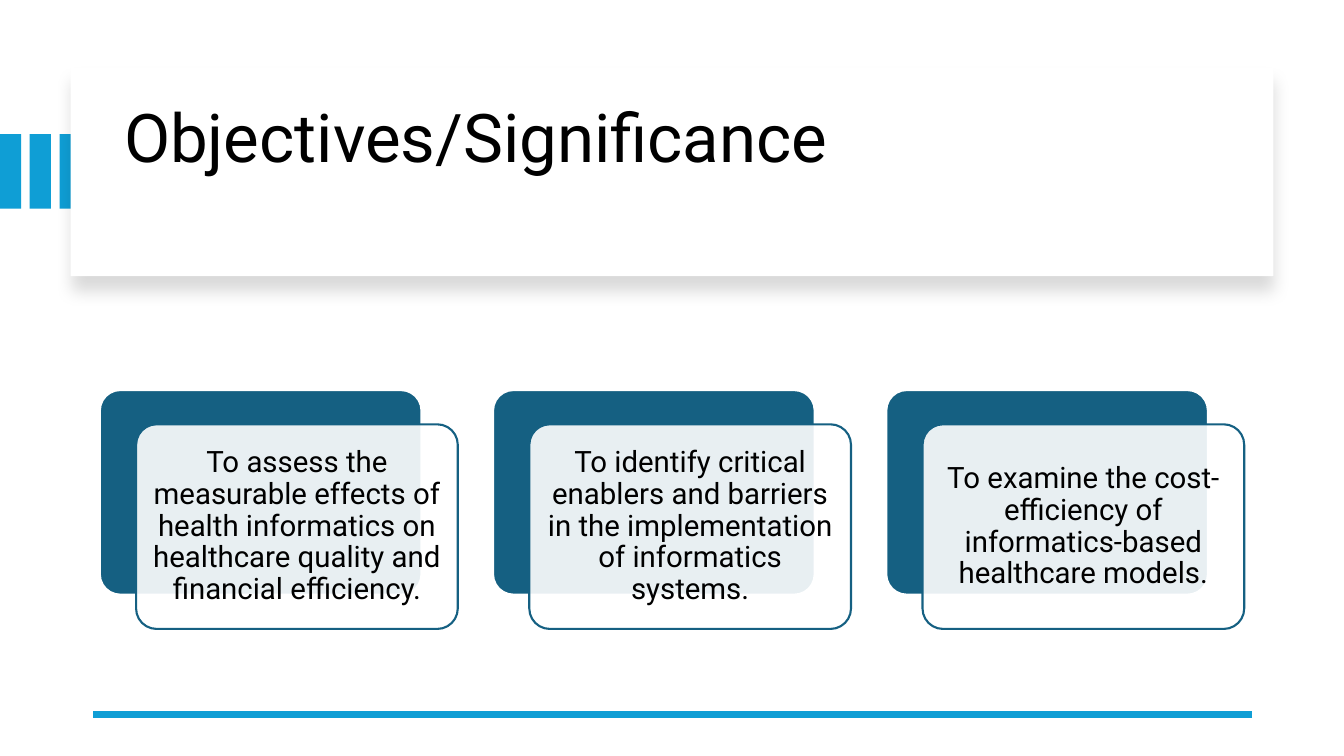
from lxml import etree
from pptx import Presentation
from pptx.dml.color import RGBColor
from pptx.enum.shapes import MSO_CONNECTOR, MSO_SHAPE
from pptx.enum.text import MSO_ANCHOR, PP_ALIGN
from pptx.oxml import parse_xml
from pptx.oxml.ns import qn
from pptx.util import Inches, Pt

RECT, ROUND = MSO_SHAPE.RECTANGLE, MSO_SHAPE.ROUNDED_RECTANGLE
BLUE, TEAL, WHITE, BLACK = "0F9ED5", "156082", "FFFFFF", "000000"
NS = "http://schemas.openxmlformats.org/drawingml/2006/main"

OBJECTIVES = [
    "To assess the measurable effects of health informatics on healthcare "
    "quality and financial efficiency.",
    "To identify critical enablers and barriers in the implementation of "
    "informatics systems.",
    "To examine the cost-efficiency of informatics-based healthcare models.",
]
CARD_W, CARD_H, CARD_PITCH = 3.19, 2.03, 3.9
CARD_LEFT, CARD_TOP = 0.99, 3.87
OFFSET_X, OFFSET_Y = 0.36, 0.34

prs = Presentation()
prs.slide_width, prs.slide_height = Inches(13.33), Inches(7.5)
s = prs.slides.add_slide(prs.slide_layouts[5])


def add_box(kind, x, y, w, h, fill, line=None):
    sp = s.shapes.add_shape(kind, Inches(x), Inches(y), Inches(w), Inches(h))
    sp.shadow.inherit = False
    sp.fill.solid()
    sp.fill.fore_color.rgb = RGBColor.from_string(fill)
    if line:
        sp.line.color.rgb = RGBColor.from_string(line)
        sp.line.width = Pt(1.5)
    else:
        sp.line.fill.background()
    if kind == ROUND:
        sp.adjustments[0] = 0.1
    return sp


def write(tf, text, size, align, anchor, margin):
    tf.word_wrap = True
    tf.vertical_anchor = anchor
    tf.margin_left = tf.margin_right = Inches(0.09)
    tf.margin_top = tf.margin_bottom = Inches(margin)
    p = tf.paragraphs[0]
    p.alignment, p.line_spacing = align, 0.9
    r = p.add_run()
    r.text = text
    r.font.name, r.font.size = "Roboto", Pt(size)
    r.font.color.rgb = RGBColor.from_string(BLACK)


# Header: three bars running under a raised white panel
for i in range(3):
    add_box(RECT, i * 0.295, 1.33, 0.21, 0.74, BLUE)

panel = add_box(RECT, 0.7, 0.67, 11.93, 2.07, WHITE)
effects = panel.element.spPr.find(qn("a:effectLst"))
effects.append(parse_xml(
    f'<a:outerShdw xmlns:a="{NS}" blurRad="{Pt(11)}" dist="{Pt(10)}" '
    'dir="5400000" algn="t" rotWithShape="0"><a:srgbClr val="000000">'
    '<a:alpha val="15000"/></a:srgbClr></a:outerShdw>'))

title = s.shapes.title
title.left, title.top = Inches(1.14), Inches(0.89)
title.width, title.height = Inches(11.13), Inches(1.7)
write(title.text_frame, "Objectives/Significance", 48, PP_ALIGN.LEFT,
      MSO_ANCHOR.TOP, 0.15)
panel.element.addnext(title.element)

# Footer rule
rule = s.shapes.add_connector(MSO_CONNECTOR.STRAIGHT, Inches(12.42),
                              Inches(7.09), Inches(0.92), Inches(7.09))
rule.line.color.rgb = RGBColor.from_string(BLUE)
rule.line.width = Pt(4.5)
etree.SubElement(rule.element.spPr, qn("a:effectLst"))

# Objective cards, each over an offset teal backing
for i, objective in enumerate(OBJECTIVES):
    x = CARD_LEFT + i * CARD_PITCH
    add_box(ROUND, x, CARD_TOP, CARD_W, CARD_H, TEAL, WHITE)
    card = add_box(ROUND, x + OFFSET_X, CARD_TOP + OFFSET_Y, CARD_W, CARD_H,
                   WHITE, TEAL)
    color = card.element.spPr.find(qn("a:solidFill")).find(qn("a:srgbClr"))
    etree.SubElement(color, qn("a:alpha"), val="90000")
    write(card.text_frame, objective, 21, PP_ALIGN.CENTER,
          MSO_ANCHOR.MIDDLE, 0.09)

prs.save("out.pptx")
